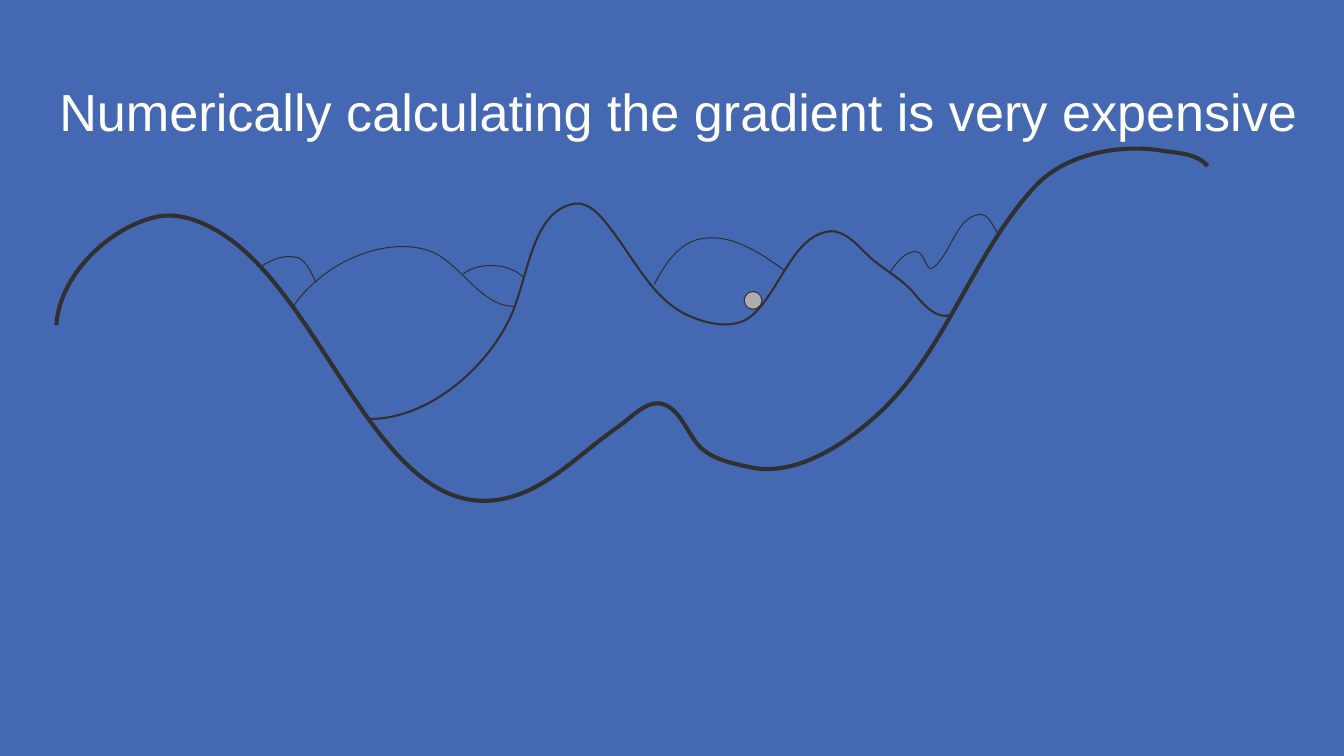
from lxml import etree
from pptx import Presentation
from pptx.dml.color import RGBColor
from pptx.enum.shapes import MSO_SHAPE
from pptx.enum.text import MSO_ANCHOR, PP_ALIGN
from pptx.oxml.ns import qn
from pptx.util import Emu, Pt

ELLIPSE = MSO_SHAPE.OVAL
TOP = MSO_ANCHOR.TOP
LEFT = PP_ALIGN.LEFT

BLUE = RGBColor(0x45, 0x68, 0xB2)
WHITE = RGBColor(0xFF, 0xFF, 0xFF)
GREY = RGBColor(0xAD, 0xAD, 0xAD)
CHARCOAL = RGBColor(0x30, 0x30, 0x30)

PX = 9144

FRONT, MIDDLE, BACK = 3, 1.5, 0.75

RIDGES = [
    (FRONT, (57, 150, 1165, 357), (57, 329), [
        (60, 280, 108, 232, 156, 220),
        (183, 213, 212, 227, 234, 243),
        (336, 319, 389, 534, 513, 504),
        (555, 494, 588, 458, 624, 433),
        (639, 423, 654, 404, 671, 409),
        (689, 415, 695, 438, 708, 452),
        (721, 465, 741, 469, 760, 473),
        (803, 482, 850, 453, 883, 424),
        (956, 361, 983, 257, 1049, 187),
        (1080, 155, 1135, 145, 1179, 153),
        (1194, 155, 1212, 156, 1222, 168),
    ]),
    (MIDDLE, (374, 206, 587, 218), (961, 319), [
        (948, 323, 935, 309, 926, 298),
        (914, 283, 896, 274, 881, 261),
        (869, 250, 857, 234, 841, 234),
        (802, 237, 790, 295, 760, 320),
        (743, 334, 715, 328, 696, 319),
        (661, 303, 643, 264, 619, 233),
        (610, 221, 597, 204, 582, 206),
        (536, 213, 535, 286, 514, 326),
        (488, 377, 431, 424, 374, 424),
    ]),
    (BACK, (297, 249, 224, 60), (297, 310), [
        (324, 269, 385, 239, 432, 253),
        (465, 263, 485, 310, 520, 310),
    ]),
    (BACK, (662, 240, 132, 47), (662, 288), [
        (672, 268, 687, 246, 708, 242),
        (738, 235, 770, 256, 794, 274),
    ]),
    (BACK, (264, 260, 55, 26), (320, 286), [
        (315, 277, 311, 265, 302, 261),
        (290, 257, 275, 262, 264, 270),
    ]),
    (BACK, (469, 268, 60, 11), (469, 277), [
        (484, 265, 515, 266, 529, 280),
    ]),
    (BACK, (901, 217, 110, 58), (901, 275), [
        (907, 266, 918, 252, 929, 255),
        (936, 258, 938, 276, 944, 271),
        (963, 257, 967, 220, 991, 217),
        (1001, 216, 1005, 230, 1011, 238),
    ]),
]


class Landscape:
    font = "Arial"
    outline = CHARCOAL

    def __init__(self, width, height):
        self.deck = Presentation()
        self.deck.slide_width = Emu(width * PX)
        self.deck.slide_height = Emu(height * PX)
        self.slide = self.deck.slides.add_slide(self.deck.slide_layouts[6])
        backdrop = self.slide.background.fill
        backdrop.solid()
        backdrop.fore_color.rgb = BLUE

    def title(self, words, box, size):
        heading = self.slide.shapes.add_textbox(*(Emu(v * PX) for v in box))
        frame = heading.text_frame
        inset = Emu(14 * PX)
        layout = {
            "word_wrap": True,
            "vertical_anchor": TOP,
            "margin_left": inset,
            "margin_right": inset,
            "margin_top": inset,
            "margin_bottom": inset,
        }
        for name, value in layout.items():
            setattr(frame, name, value)
        line = frame.paragraphs[0]
        line.alignment = LEFT
        run = line.add_run()
        run.text = words
        for name, value in {"name": self.font, "size": Pt(size)}.items():
            setattr(run.font, name, value)
        run.font.color.rgb = WHITE

    def stroke(self, shape, weight):
        shape.shadow.inherit = False
        shape.line.color.rgb = self.outline
        shape.line.width = Pt(weight)

    def ball(self, box):
        marble = self.slide.shapes.add_shape(
            ELLIPSE, *(Emu(v * PX) for v in box))
        marble.fill.solid()
        marble.fill.fore_color.rgb = GREY
        self.stroke(marble, BACK)

    def ridge(self, weight, box, start, curves):
        left, top, width, height = box
        builder = self.slide.shapes.build_freeform(left, top, scale=PX)
        builder.add_line_segments([(left + width, top + height)], close=False)
        hill = builder.convert_to_shape()
        contour = hill._element.find(".//" + qn("a:path"))
        for segment in list(contour):
            contour.remove(segment)
        for command, values in [("a:moveTo", start)] + [
                ("a:cubicBezTo", curve) for curve in curves]:
            segment = etree.SubElement(contour, qn(command))
            for x, y in zip(values[::2], values[1::2]):
                etree.SubElement(segment, qn("a:pt"),
                                 x=str(x - left), y=str(y - top))
        hill.fill.background()
        self.stroke(hill, weight)


def main():
    scene = Landscape(1360, 765)
    scene.title("Numerically calculating the gradient is very expensive",
                (46, 66, 1296, 85), 38)
    scene.ball((753, 295, 18, 18))
    for weight, box, start, curves in RIDGES:
        scene.ridge(weight, box, start, curves)
    scene.deck.save("out.pptx")


if __name__ == "__main__":
    main()
